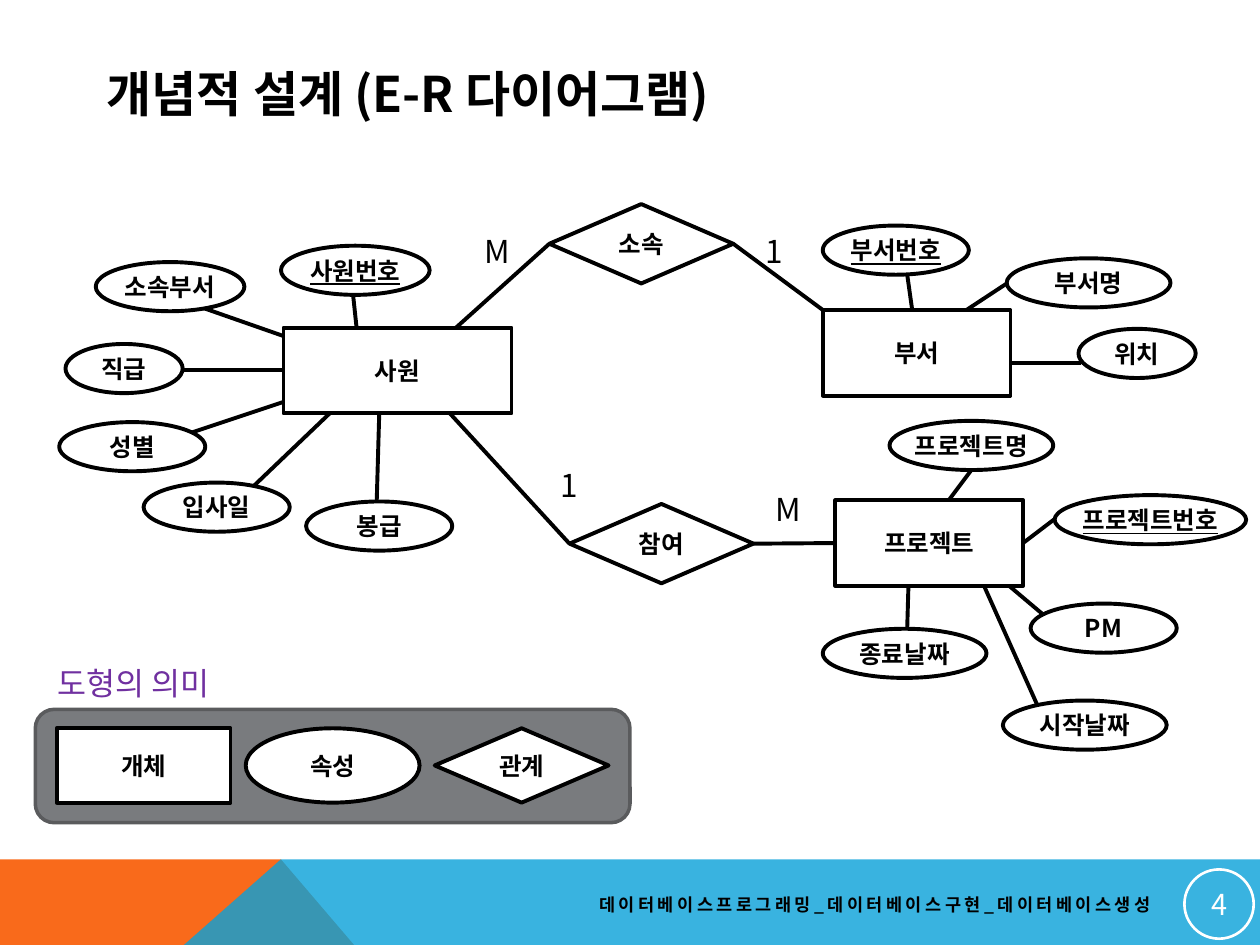
from lxml.etree import SubElement
from pptx import Presentation
from pptx.dml.color import RGBColor
from pptx.enum.shapes import MSO_CONNECTOR, MSO_SHAPE
from pptx.enum.text import MSO_ANCHOR, PP_ALIGN
from pptx.oxml.ns import qn
from pptx.util import Inches, Pt

FONT = "Noto Sans CJK KR"
BLACK, WHITE = "000000", "FFFFFF"
TOP, LEFT, BOTTOM, RIGHT = range(4)


def color(value):
    return RGBColor.from_string(value)


def write(shape, text, size=14, hue=BLACK, bold=False, under=False,
          align=PP_ALIGN.CENTER, anchor=MSO_ANCHOR.MIDDLE, wrap=False):
    frame = shape.text_frame
    frame.text = text
    frame.word_wrap = wrap
    frame.vertical_anchor = anchor
    frame.paragraphs[0].alignment = align
    run = frame.paragraphs[0].runs[0]
    font = run.font
    font.name, font.size, font.bold = FONT, Pt(size), bold
    font.underline = under or None
    font.color.rgb = color(hue)
    SubElement(run._r.get_or_add_rPr(), qn("a:ea")).set("typeface", FONT)
    return run


def paint(shape, fill=WHITE, line=BLACK, width=2.25):
    shape.shadow.inherit = False
    if fill:
        shape.fill.solid()
        shape.fill.fore_color.rgb = color(fill)
    else:
        shape.fill.background()
    if line:
        shape.line.color.rgb = color(line)
        shape.line.width = Pt(width)
    else:
        shape.line.fill.background()


def node(shapes, kind, box, text, under=False):
    shape = shapes.add_shape(kind, *map(Inches, box))
    paint(shape)
    write(shape, text, bold=True, under=under)
    return shape


def label(shapes, box, text, **style):
    shape = shapes.add_textbox(*map(Inches, box))
    return write(shape, text, **style)


def link(shapes, start, end):
    line = shapes.add_connector(MSO_CONNECTOR.STRAIGHT, *map(Inches, (*start, *end)))
    line.line.color.rgb = color(BLACK)
    line.line.width = Pt(2.25)
    SubElement(line._element.spPr, qn("a:effectLst"))
    return line


def entity(shapes, box, text, traits):
    """Entity with its attributes; trait places are offsets from the box corner."""
    x, y = box[:2]
    joins = []
    for name, (dx, dy, wide), (ax, ay), (bx, by), key, side in traits:
        line = link(shapes, (x + ax, y + ay), (x + bx, y + by))
        node(shapes, MSO_SHAPE.OVAL, (x + dx, y + dy, wide, 0.39), name, key)
        if side is not None:
            joins.append((line, side))
    shape = node(shapes, MSO_SHAPE.RECTANGLE, box, text)
    for line, side in joins:
        line.end_connect(shape, side)
    return shape


def relation(shapes, box, text, ends):
    """Diamond with a line from each of its sides to an entity."""
    x, y = box[:2]
    shape = node(shapes, MSO_SHAPE.DIAMOND, box, text)
    for side, (dx, dy), mark, (mx, my), target in ends:
        line = link(shapes, (x, y), (x + dx, y + dy))
        line.begin_connect(shape, side)
        if target:
            line.end_connect(*target)
        label(shapes, (x + mx, y + my, 0.4, 0.4), mark, size=18,
              align=PP_ALIGN.LEFT, anchor=MSO_ANCHOR.TOP)


def legend(shapes, box):
    x, y, wide, high = box
    label(shapes, (x + 0.08, y - 0.41, 1.55, 0.4), "도형의 의미", size=18,
          hue="7030A0", align=PP_ALIGN.LEFT, anchor=MSO_ANCHOR.TOP)
    panel = shapes.add_shape(MSO_SHAPE.ROUNDED_RECTANGLE, *map(Inches, box))
    paint(panel, "797B7E", "5A5B5D", 2)
    group = shapes.add_group_shape().shapes
    kinds = ((MSO_SHAPE.RECTANGLE, "개체"), (MSO_SHAPE.OVAL, "속성"),
             (MSO_SHAPE.FLOWCHART_DECISION, "관계"))
    for i, (kind, text) in enumerate(kinds):
        node(group, kind, (x + 0.17 + 1.5 * i, y + 0.15, 1.38, 0.59), text)


def footer(shapes, box):
    x, y, wide, high = box

    def band(points, fill):
        points = [(Inches(x + px), Inches(y + py)) for px, py in points]
        path = shapes.build_freeform(*points[0])
        path.add_line_segments(points[1:], close=True)
        shape = path.convert_to_shape()
        paint(shape, fill, None)
        return shape

    band([(0, 0), (2.23, 0), (2.81, high), (0, high)], "F96A1B")
    blue = band([(1.46, high), (2.23, 0), (wide, 0), (wide, high)], "08A1D9")
    tint = blue._element.spPr.find(qn("a:solidFill"))[0]
    SubElement(tint, qn("a:alpha")).set("val", "80000")

    run = label(shapes, (x + 4.06, y + 0.21, 5.17, 0.3),
                "데이터베이스프로그래밍_데이터베이스구현_데이터베이스생성",
                size=10, bold=True, align=PP_ALIGN.RIGHT, wrap=True)
    run._r.get_or_add_rPr().set("spc", "200")
    badge = shapes.add_shape(MSO_SHAPE.OVAL, Inches(x + 9.4), Inches(y + 0.08),
                             Inches(0.55), Inches(0.55))
    paint(badge, None, WHITE, 1.5)
    write(badge, "4", size=16.5, hue=WHITE)


def main():
    deck = Presentation()
    deck.slide_width, deck.slide_height = Inches(10), Inches(7.5)
    shapes = deck.slides.add_slide(deck.slide_layouts[6]).shapes

    footer(shapes, (0, 6.82, 10, 0.68))
    label(shapes, (0.75, 0.44, 8.22, 0.6), "개념적 설계 (E-R 다이어그램)",
          size=28, bold=True, align=PP_ALIGN.LEFT, wrap=True)

    # Entities: name, oval offset and width, line start, line end, key, joined side
    staff = entity(shapes, (2.25, 2.6, 1.81, 0.68), "사원", [
        ("소속부서", (-1.49, -0.52, 1.18), (-0.65, -0.16), (0.18, 0.13), False, None),
        ("사원번호", (-0.02, -0.65, 1.18), (0.55, -0.28), (0.58, 0), True, None),
        ("직급", (-1.73, 0.13, 0.93), (-0.8, 0.34), (0, 0.34), False, LEFT),
        ("성별", (-1.78, 0.75, 1.16), (-0.75, 0.84), (0.18, 0.53), False, None),
        ("입사일", (-1.11, 1.23, 1.16), (-0.26, 1.28), (0.42, 0.63), False, None),
        ("봉급", (0.18, 1.38, 1.16), (0.74, 1.38), (0.76, 0.68), False, None),
    ])
    entity(shapes, (6.53, 2.46, 1.49, 0.68), "부서", [
        ("부서번호", (0, -0.67, 1.16), (0.67, -0.28), (0.71, 0), True, None),
        ("부서명", (1.46, -0.41, 1.3), (1.46, -0.21), (1.05, 0.06), False, None),
        ("위치", (2.03, 0.15, 0.93), (2.05, 0.42), (1.44, 0.42), False, None),
    ])
    project = entity(shapes, (6.63, 3.97, 1.49, 0.68), "프로젝트", [
        ("프로젝트명", (0.43, -0.63, 1.3), (1.08, -0.24), (0.9, 0), False, None),
        ("프로젝트번호", (1.74, -0.04, 1.52), (1.74, 0.15), (1.48, 0.34), True, RIGHT),
        ("종료날짜", (-0.1, 1.02, 1.3), (0.57, 1.02), (0.58, 0.68), False, None),
        ("PM", (1.55, 0.82, 1.16), (1.64, 0.9), (1.32, 0.63), False, None),
        ("시작날짜", (1.33, 1.59, 1.3), (1.6, 1.62), (1.18, 0.68), False, None),
    ])

    # Relations: side, line end, cardinality, its offset, joined entity
    relation(shapes, (4.36, 1.62, 1.46, 0.63), "소속", [
        (LEFT, (-0.74, 0.98), "M", (-0.61, 0.17), None),
        (RIGHT, (2.17, 0.84), "1", (1.62, 0.17), None),
    ])
    relation(shapes, (4.52, 4, 1.46, 0.63), "참여", [
        (LEFT, (-0.95, -0.72), "1", (-0.17, -0.35), None),
        (RIGHT, (2.11, 0.31), "M", (1.54, -0.16), (project, LEFT)),
    ])

    legend(shapes, (0.28, 5.63, 4.72, 0.9))
    deck.save("out.pptx")


if __name__ == "__main__":
    main()
